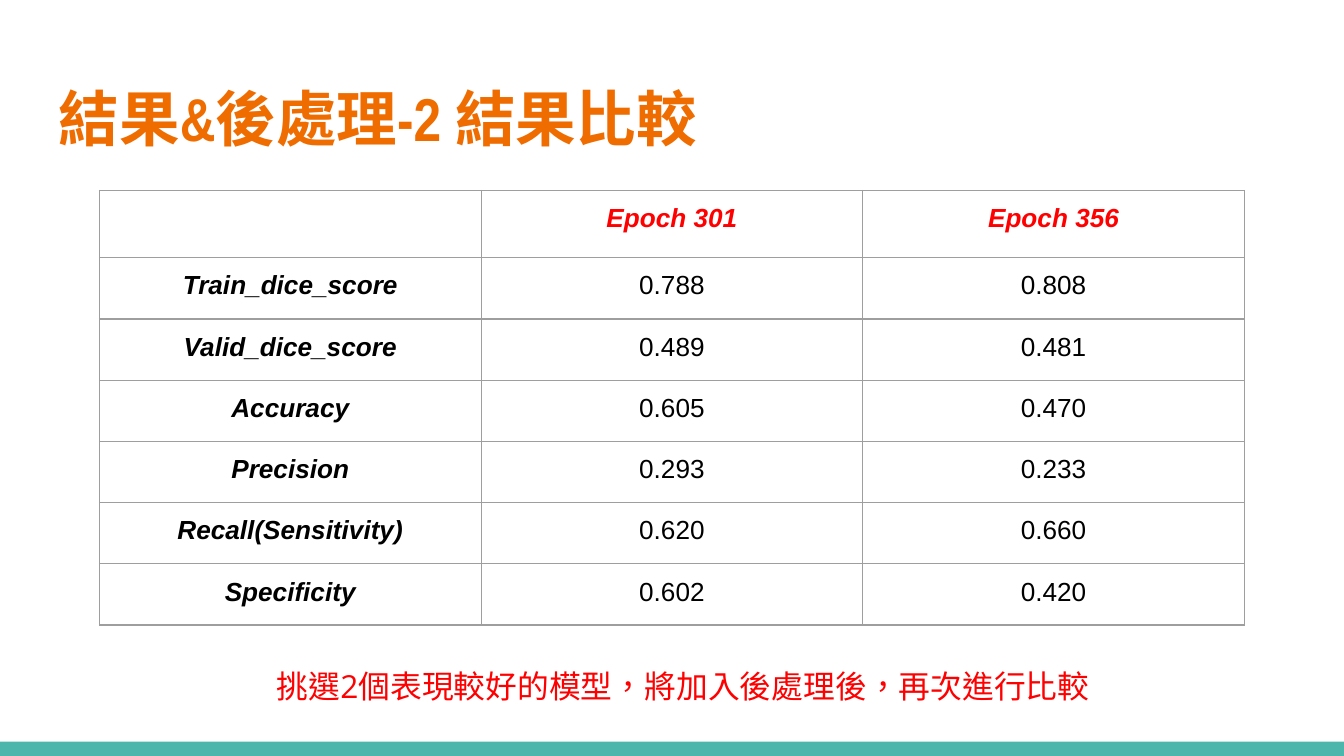
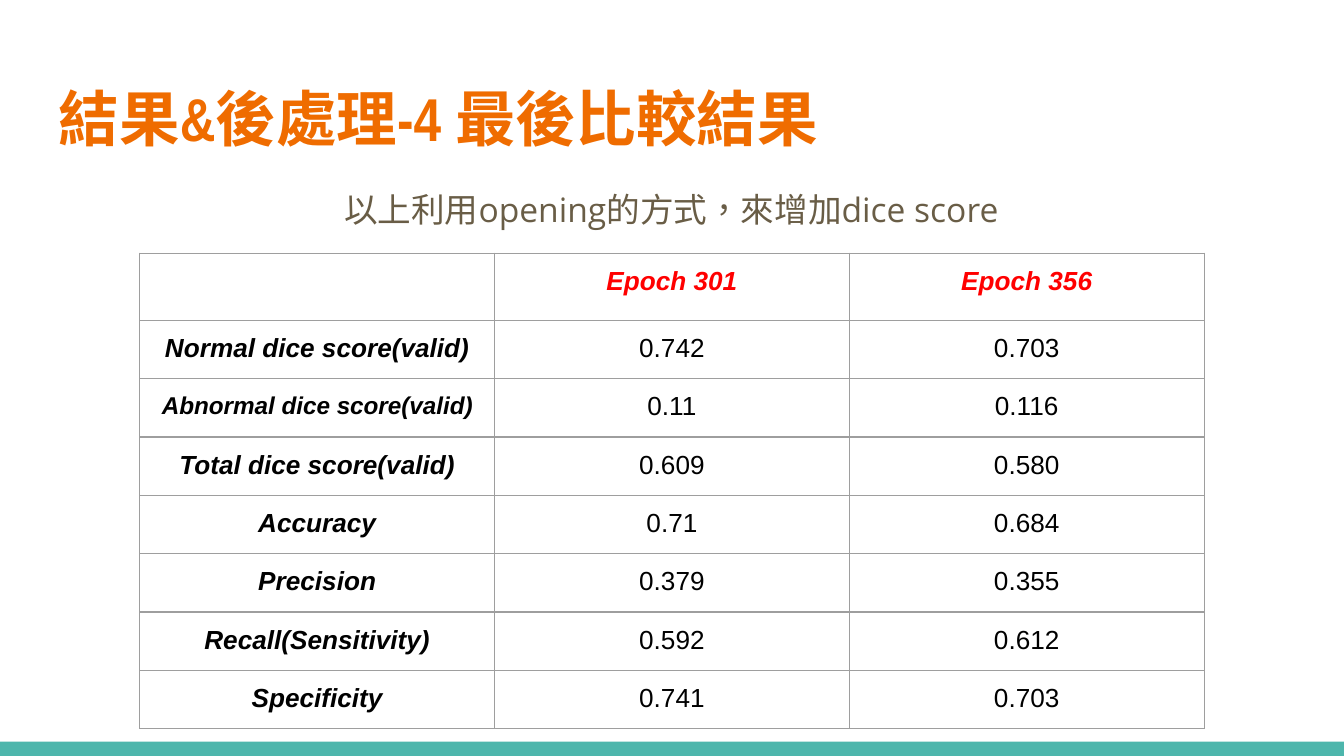
from dataclasses import dataclass

from lxml.etree import SubElement as Sub
from pptx import Presentation
from pptx.dml.color import RGBColor
from pptx.enum.lang import MSO_LANGUAGE_ID as Lang
from pptx.enum.shapes import MSO_SHAPE as Shape
from pptx.enum.text import MSO_ANCHOR as Anchor, PP_ALIGN as Align
from pptx.oxml.ns import qn
from pptx.util import Inches, Pt


@dataclass(frozen=True)
class Theme:
    band: str = "4DB6AC"
    title: str = "EF6C00"
    brown: str = "695D46"
    red: str = "FF0000"
    ink: str = "000000"
    rule: str = "9E9E9E"
    head: str = "Arial Narrow"
    body: str = "Open Sans"
    grid: str = "Arial"
    big: float = 32.4
    lead: float = 18
    note: float = 17
    cell: float = 14
    small: float = 13
    line: float = 0.75


look = Theme()
deck = Presentation()
deck.slide_width = Inches(10)
deck.slide_height = Inches(5.625)
col = deck.slide_width / 100
row = deck.slide_height / 100
pad = Inches(0.1)


def style(para, face, size, color, bold=False, slant=False):
    for run in para.runs:
        font = run.font
        font.name = face
        font.size = Pt(size)
        font.bold = bold
        font.italic = slant
        font.color.rgb = RGBColor.from_string(color)
        font.language_id = Lang.TRADITIONAL_CHINESE
        Sub(run._r.get_or_add_rPr(), qn("a:ea"), typeface=face)


def write(slide, text, spot, face, size, color, bold=False, align=Align.CENTER):
    x, y, w, h = spot
    box = slide.shapes.add_textbox(int(x * col), int(y * row), int(w * col), int(h * row))
    frame = box.text_frame
    frame.text = text
    frame.word_wrap = True
    frame.margin_left = frame.margin_right = pad
    frame.margin_top = frame.margin_bottom = pad
    para = frame.paragraphs[0]
    para.alignment = align
    style(para, face, size, color, bold)
    return frame


pages = [
    {
        "title": "結果&後處理-2 結果比較",
        "text": "挑選2個表現較好的模型，將加入後處理後，再次進行比較",
        "spot": (10.7, 86.4, 80.3, 8.7),
        "size": look.note,
        "color": look.red,
        "space": 1,
        "grid": (7.4, 25.2, 28.4, 8.1),
        "rows": [
            ("Train_dice_score", "0.788", "0.808"),
            ("Valid_dice_score", "0.489", "0.481"),
            ("Accuracy", "0.605", "0.470"),
            ("Precision", "0.293", "0.233"),
            ("Recall(Sensitivity)", "0.620", "0.660"),
            ("Specificity", "0.602", "0.420"),
        ],
    },
    {
        "title": "結果&後處理-4 最後比較結果",
        "text": "以上利用opening的方式，來增加dice score",
        "spot": (11.4, 22.4, 77.1, 9.8),
        "size": look.lead,
        "color": look.brown,
        "space": 1.15,
        "grid": (10.4, 33.5, 26.4, 7.43),
        "rows": [
            ("Normal dice score(valid)", "0.742", "0.703"),
            ("Abnormal dice score(valid)", "0.11", "0.116"),
            ("Total dice score(valid)", "0.609", "0.580"),
            ("Accuracy", "0.71", "0.684"),
            ("Precision", "0.379", "0.355"),
            ("Recall(Sensitivity)", "0.592", "0.612"),
            ("Specificity", "0.741", "0.703"),
        ],
    },
]
top = ("", "Epoch 301", "Epoch 356")
tall = 8.6

for page in pages:
    slide = deck.slides.add_slide(deck.slide_layouts[6])

    band = slide.shapes.add_shape(
        Shape.RECTANGLE, 0, int(98.1 * row), int(100 * col), int(1.9 * row))
    band.shadow.inherit = False
    band.fill.solid()
    band.fill.fore_color.rgb = RGBColor.from_string(look.band)
    band.line.fill.background()

    title = write(slide, page["title"], (3.4, 8.7, 93.2, 13.7),
                  look.head, look.big, look.title, True, Align.LEFT)
    title.vertical_anchor = Anchor.MIDDLE

    x, y, wide, high = page["grid"]
    data = [top, *page["rows"]]
    total = tall + high * len(page["rows"])
    table = slide.shapes.add_table(
        len(data), len(top), int(x * col), int(y * row),
        int(wide * len(top) * col), int(total * row)).table
    table.first_row = table.horz_banding = False
    for part in table.columns:
        part.width = int(wide * col)
    for r, line in enumerate(data):
        table.rows[r].height = int((high if r else tall) * row)
        for c, text in enumerate(line):
            cell = table.cell(r, c)
            cell.margin_left = cell.margin_right = pad
            cell.margin_top = cell.margin_bottom = pad
            props = cell._tc.get_or_add_tcPr()
            for side in ("a:lnL", "a:lnR", "a:lnT", "a:lnB"):
                edge = Sub(props, qn(side), w=str(Pt(look.line)))
                Sub(Sub(edge, qn("a:solidFill")), qn("a:srgbClr"), val=look.rule)
            cell.fill.background()
            if text:
                cell.text_frame.text = text
                para = cell.text_frame.paragraphs[0]
                para.alignment = Align.CENTER
                label = r == 0 or c == 0
                size = look.small if text.startswith("Abnormal") else look.cell
                style(para, look.grid, size, look.ink if r else look.red, label, label)

    body = write(slide, page["text"], page["spot"], look.body, page["size"], page["color"])
    body.paragraphs[0].line_spacing = page["space"]

deck.save("out.pptx")
